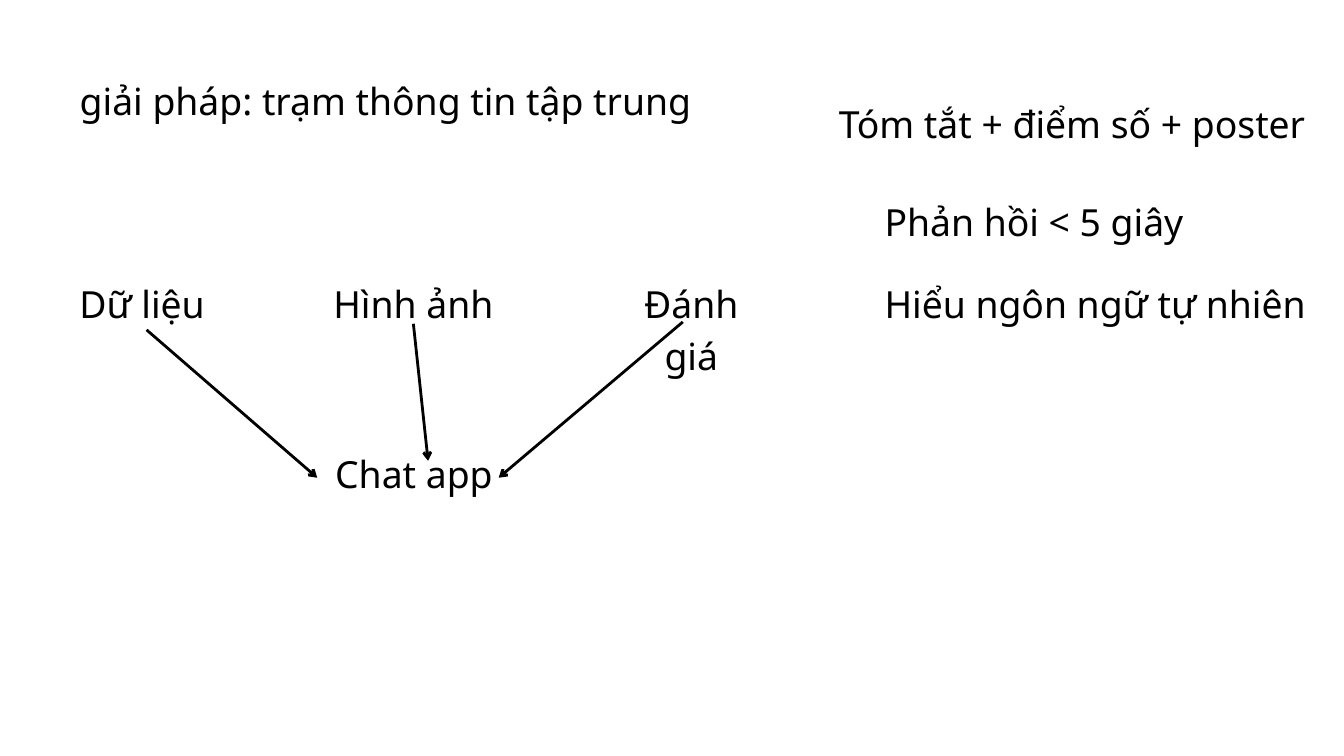
import pptx
import pptx.dml.color
import pptx.enum.shapes
import pptx.enum.text
import pptx.oxml.ns
import pptx.util
from lxml import etree

Cm = pptx.util.Cm
Pt = pptx.util.Pt

COLORS = {"ink": "000000", "page": "FFFFFF"}
HIGH = 1.9    # height of every label
ROW = 10.34   # top of the source row
SIDE = 33.43  # left edge of the right-hand notes

FRAME = {
    "margin_left": 0, "margin_right": 0, "margin_top": 0, "margin_bottom": 0,
    "word_wrap": True,
    "auto_size": pptx.enum.text.MSO_AUTO_SIZE.SHAPE_TO_FIT_TEXT,
}
PARA = {"alignment": pptx.enum.text.PP_ALIGN.CENTER, "line_spacing": Pt(56)}
FONT = {"name": "Noto Sans", "size": Pt(40)}


def color(name):
    return pptx.dml.color.RGBColor.from_string(COLORS[name])


def style(item, values):
    for key, value in values.items():
        setattr(item, key, value)


def add_label(slide, text, left, top, width):
    box = slide.shapes.add_textbox(Cm(left), Cm(top), Cm(width), Cm(HIGH))
    frame = box.text_frame
    style(frame, FRAME)
    para = frame.paragraphs[0]
    style(para, PARA)
    run = para.add_run()
    run.text = text
    style(run.font, FONT)
    run.font.color.rgb = color("ink")
    return box


def add_arrow(slide, start, end):
    kind = pptx.enum.shapes.MSO_CONNECTOR.STRAIGHT
    arrow = slide.shapes.add_connector(kind, *map(Cm, start + end))
    arrow.line.width = Pt(3)
    arrow.line.color.rgb = color("ink")
    qn = pptx.oxml.ns.qn
    etree.SubElement(arrow.line._get_or_add_ln(), qn("a:tailEnd"), type="arrow")
    etree.SubElement(arrow._element.spPr, qn("a:effectLst"))
    return arrow


def main():
    deck = pptx.Presentation()
    deck.slide_width, deck.slide_height = Cm(50.8), Cm(28.58)
    slide = deck.slides.add_slide(deck.slide_layouts[6])
    slide.background.fill.solid()
    slide.background.fill.fore_color.rgb = color("page")

    # Title
    add_label(slide, "giải pháp: trạm thông tin tập trung", 3, 2.69, 23.14)

    # Sources, and the hub they feed
    add_label(slide, "Dữ liệu ", 3, ROW, 5.11)
    image = add_label(slide, "Hình ảnh", 12.6, ROW, 6.05)
    add_label(slide, "Đánh giá", 23.16, ROW, 5.94)
    add_label(slide, "Chat app", 12.52, 16.79, 6.25)

    # Benefits
    add_label(slide, "Tóm tắt + điểm số + poster", 31.67, 3.53, 17.7)
    add_label(slide, "Phản hồi < 5 giây", SIDE, 7.26, 11.3)
    add_label(slide, "Hiểu ngôn ngữ tự nhiên", SIDE, ROW, 15.93)

    # Arrows from the sources to the hub
    add_arrow(slide, (5.54, 12.47), (11.99, 18.06))
    middle = add_arrow(slide, (15.62, 12.24), (16.18, 17.42))
    middle.begin_connect(image, 2)
    add_arrow(slide, (25.81, 12.17), (18.85, 18.06))

    deck.save("out.pptx")


if __name__ == "__main__":
    main()
